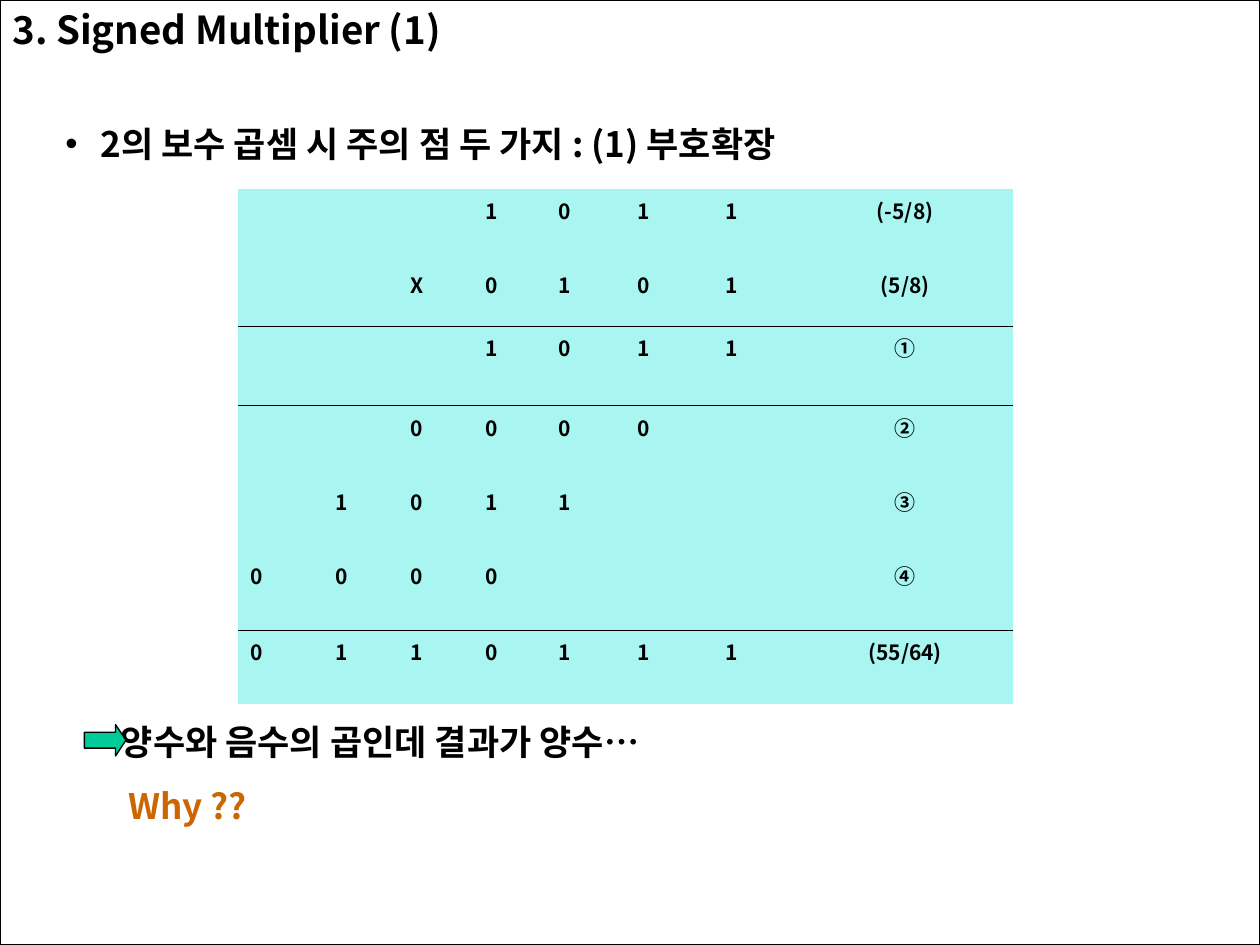
"""Build the slide on sign extension in a signed multiplier."""
from lxml.etree import SubElement
from pptx import Presentation
from pptx.dml.color import RGBColor
from pptx.enum.shapes import MSO_SHAPE as Preset
from pptx.enum.text import MSO_AUTO_SIZE as AutoSize, PP_ALIGN as Align
from pptx.oxml import parse_xml
from pptx.oxml.ns import nsdecls, qn
from pptx.util import Inches, Pt

FONT = "Noto Sans CJK KR"
BLACK = RGBColor(0x00, 0x00, 0x00)
ORANGE = RGBColor(0xCC, 0x66, 0x00)
GREEN = RGBColor(0x00, 0xCC, 0x99)
AQUA = RGBColor(0xA9, 0xF5, 0xF1)
PLAIN_TABLE_STYLE = "{2D5ABB26-0587-4C30-8999-92F81FD0307C}"

TITLE = "3. Signed Multiplier (1)"
TOPIC = "2의 보수 곱셈 시 주의 점 두 가지 : (1) 부호확장"
REMARK = "양수와 음수의 곱인데 결과가 양수…"
QUESTION = "Why ??"

DIGIT_ROWS = [
    ("   1011", "(-5/8)"),
    ("  X0101", "(5/8)"),
    ("   1011", "①"),
    ("  0000 ", "②"),
    (" 1011  ", "③"),
    ("0000   ", "④"),
    ("0110111", "(55/64)"),
]
COLUMN_WIDTHS = [0.67, 0.6, 0.59, 0.58, 0.63, 0.7, 0.67, 1.71]
ROW_HEIGHTS = [0.59, 0.5, 0.63, 0.59, 0.59, 0.6, 0.59]
RULED_ROWS = (1, 5)


def format_paragraph(paragraph, size, color=BLACK, before=0, indent=0, hanging=0):
    paragraph.space_before = Pt(before)
    properties = paragraph._p.get_or_add_pPr()
    properties.set("marL", str(Inches(indent)))
    properties.set("indent", str(-Inches(hanging)))
    for run in paragraph.runs:
        run.font.name = FONT
        run.font.size = Pt(size)
        run.font.bold = True
        run.font.color.rgb = color
        SubElement(run.font._element, qn("a:ea"), typeface=FONT)


def add_text(slide, box, lines):
    shape = slide.shapes.add_textbox(*map(Inches, box))
    frame = shape.text_frame
    frame.word_wrap = True
    frame.auto_size = AutoSize.SHAPE_TO_FIT_TEXT
    frame.text = "\n".join(text for text, _ in lines)
    for paragraph, (_, style) in zip(frame.paragraphs, lines):
        format_paragraph(paragraph, **style)
    return frame


def add_bullet(paragraph):
    properties = paragraph._p.get_or_add_pPr()
    SubElement(properties, qn("a:buFont"), typeface="Arial")
    SubElement(properties, qn("a:buChar"), char="•")


def add_outlined(slide, preset, box, fill=None):
    shape = slide.shapes.add_shape(preset, *map(Inches, box))
    shape.shadow.inherit = False
    shape.line.color.rgb = BLACK
    shape.line.width = Pt(0.75)
    if fill is None:
        shape.fill.background()
    else:
        shape.fill.solid()
        shape.fill.fore_color.rgb = fill
    return shape


def add_rule(cell, side):
    border = parse_xml(
        f'<a:{side} {nsdecls("a")} w="{Pt(0.45)}"><a:solidFill>'
        f'<a:srgbClr val="{BLACK}"/></a:solidFill></a:{side}>'
    )
    cell._tc.get_or_add_tcPr().insert(0, border)


def add_multiplication(slide):
    shape = slide.shapes.add_table(
        len(ROW_HEIGHTS), len(COLUMN_WIDTHS), Inches(1.89), Inches(1.5),
        Inches(sum(COLUMN_WIDTHS)), Inches(sum(ROW_HEIGHTS)),
    )
    table = shape.table
    table.first_row = table.horz_banding = False
    table._tbl.tblPr.find(qn("a:tableStyleId")).text = PLAIN_TABLE_STYLE
    for column, width in zip(table.columns, COLUMN_WIDTHS):
        column.width = Inches(width)
    for index, (digits, label) in enumerate(DIGIT_ROWS):
        row = table.rows[index]
        row.height = Inches(ROW_HEIGHTS[index])
        for cell, text in zip(row.cells, [*digits, label]):
            cell.fill.solid()
            cell.fill.fore_color.rgb = AQUA
            cell.text = text.strip()
            format_paragraph(cell.text_frame.paragraphs[0], 12, before=3)
            if index in RULED_ROWS:
                add_rule(cell, "lnB")
            if index - 1 in RULED_ROWS:
                add_rule(cell, "lnT")
        label_cell = table.cell(index, len(digits))
        label_cell.text_frame.paragraphs[0].alignment = Align.CENTER


def main():
    presentation = Presentation()
    presentation.slide_width = Inches(10)
    presentation.slide_height = Inches(7.5)
    slide = presentation.slides.add_slide(presentation.slide_layouts[6])

    add_outlined(slide, Preset.RECTANGLE, (0, 0, 10, 7.5))
    add_text(slide, (0, 0, 5.29, 0.47), [(TITLE, {"size": 22})])
    body = {"size": 20, "before": 12.5}
    topic = add_text(slide, (0.42, 0.92, 9.08, 0.44),
                     [(TOPIC, {**body, "indent": 0.28, "hanging": 0.28})])
    add_bullet(topic.paragraphs[0])
    add_multiplication(slide)
    add_text(slide, (0.67, 5.67, 9.08, 0.94), [
        (REMARK, {**body, "indent": 0.19}),
        (QUESTION, {**body, "indent": 0.25, "color": ORANGE}),
    ])
    arrow = add_outlined(slide, Preset.RIGHT_ARROW, (0.67, 5.75, 0.33, 0.25), GREEN)
    arrow.adjustments[1] = 0.33

    presentation.save("out.pptx")


if __name__ == "__main__":
    main()
